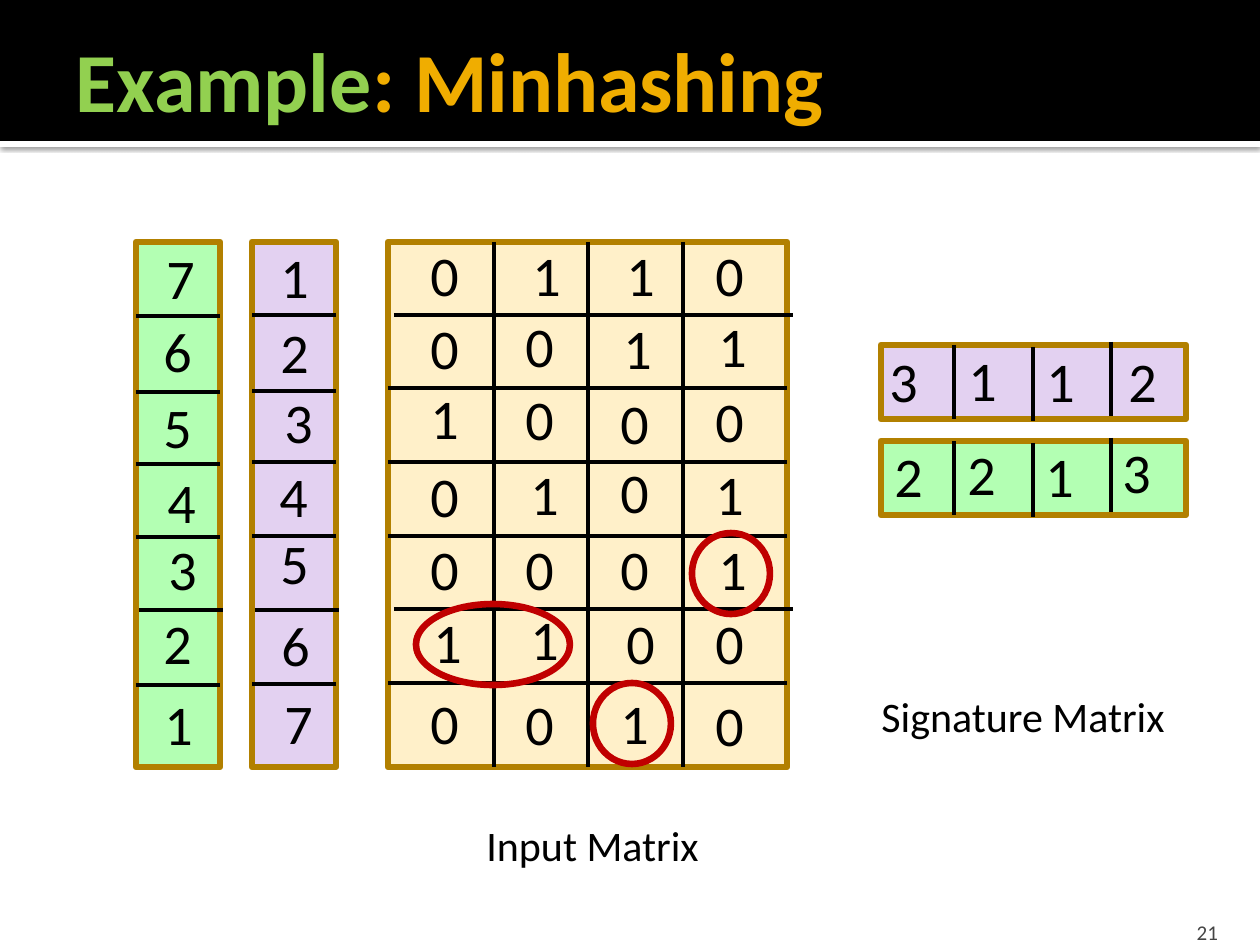
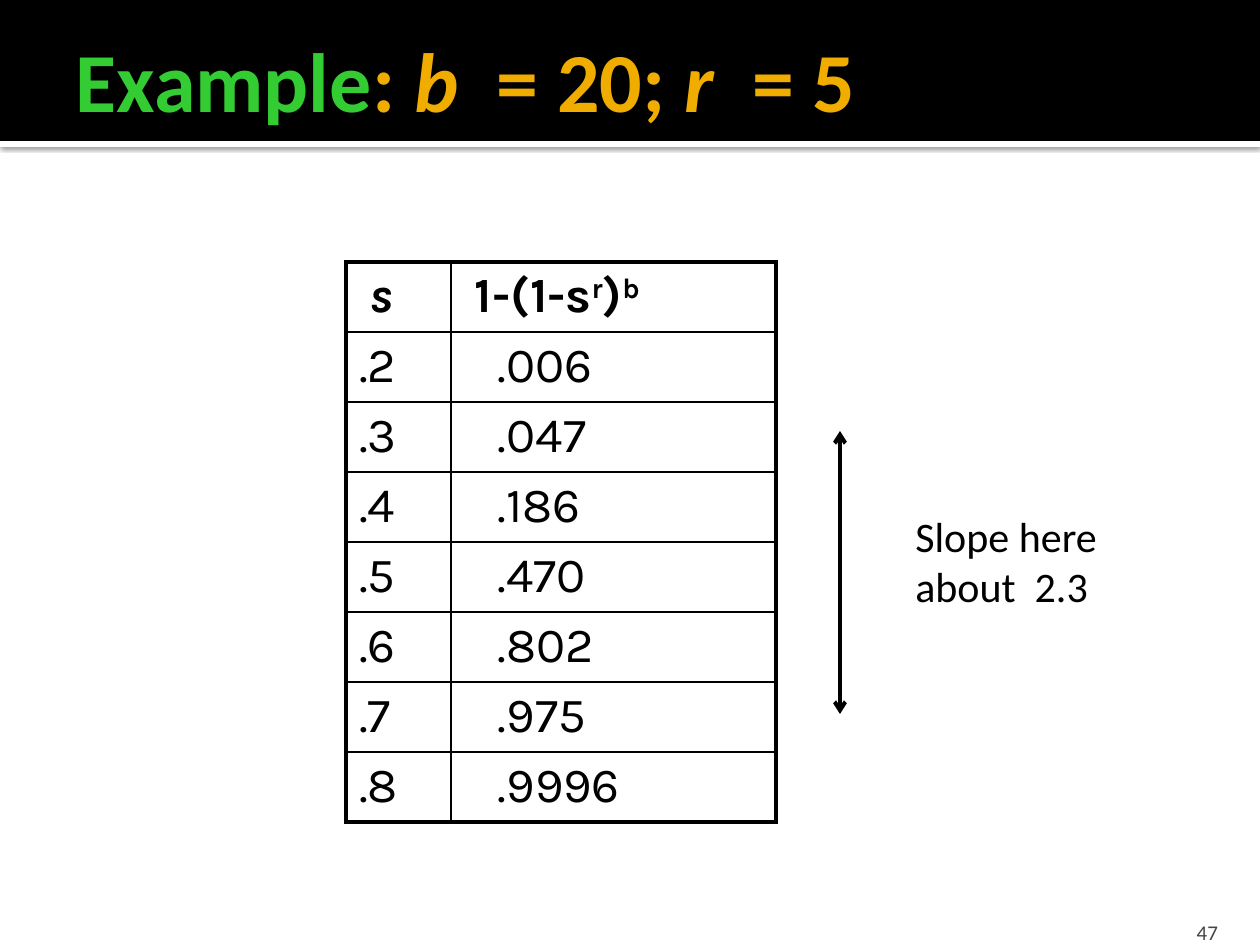
"""Builds two slides: a minhashing example and an S-curve table."""
import pptx
import pptx.dml.color
import pptx.enum.shapes
import pptx.enum.text
import pptx.oxml
import pptx.oxml.ns
import pptx.util

PX = 914400 / 126
FONT, TABLE_FONT = "Calibri", "Karla"
BLACK, WHITE, GOLD, GREY = "000000", "FFFFFF", "F0AD00", "454545"
GREEN, PURPLE, CREAM = "B3FFB3", "E3D1F1", "FFF0C9"
BROWN, RED = "B28000", "C00000"
ALIGN = pptx.enum.text.PP_ALIGN
ANCHOR = pptx.enum.text.MSO_ANCHOR
FIT = pptx.enum.text.MSO_AUTO_SIZE
SHAPE = pptx.enum.shapes.MSO_SHAPE

MINHASH_TITLE = [("Example", {"color": "92D050"}), (": Minhashing", {})]
SLOPE_TITLE = [
    ("Example", {"color": "33CC33"}),
    (": ", {}),
    ("b", {"italic": True}),
    ("  = 20; ", {}),
    ("r", {"italic": True}),
    ("  = 5", {}),
]

# Rules are (position, shift along the rule); nudges are (row, column): (dx, dy).
PANELS = [
    {
        "box": (388, 242, 399, 525),
        "fill": CREAM,
        "rows": ["0110", "0011", "1000", "0101", "0001", "1100", "0010"],
        "lefts": [418 + 95 * col for col in range(4)],
        "tops": [234, 307, 380, 453, 528, 602, 682],
        "across": [(315, 6), (388, 0), (462, 0), (536, 0), (609, 6), (683, 0)],
        "down": [(494, 0), (588, 0), (683, 0)],
        "nudges": {
            (0, 1): (7, 0), (0, 2): (6, 0),
            (1, 1): (0, -2), (1, 2): (3, 0), (1, 3): (3, -2),
            (2, 0): (0, -3), (2, 1): (0, -2), (2, 2): (0, 2),
            (3, 0): (0, 2), (3, 1): (5, 0), (3, 2): (0, -2),
            (4, 3): (3, 0),
            (5, 0): (3, -1), (5, 1): (5, -4), (5, 2): (6, 0),
            (6, 1): (0, 1), (6, 3): (0, 2),
        },
    },
    {
        "box": (136, 242, 84, 525),
        "fill": GREEN,
        "rows": "7654321",
        "lefts": [151],
        "tops": [237, 310, 386, 461, 528, 602, 683],
        "across": [(316, 0), (392, 0), (464, 0), (537, 0), (610, 3), (685, 0)],
        "down": [],
        "nudges": {(0, 0): (3, 0), (3, 0): (4, 0), (4, 0): (5, 0), (6, 0): (1, 0)},
    },
    {
        "box": (252, 242, 84, 525),
        "fill": PURPLE,
        "rows": "1234567",
        "lefts": [268],
        "tops": [236, 311, 381, 455, 522, 604, 682],
        "across": [(315, 0), (391, 0), (462, 0), (536, 0), (610, 3), (684, 0)],
        "down": [],
        "nudges": {(2, 0): (4, 0), (3, 0): (-1, 0), (5, 0): (1, 0), (6, 0): (4, 0)},
    },
    {
        "box": (881, 441, 305, 74),
        "fill": GREEN,
        "rows": ["2213"],
        "lefts": [882, 955, 1033, 1110],
        "tops": [435],
        "across": [],
        "down": [(954, 0), (1033, 2), (1111, -3)],
        "nudges": {(0, 1): (0, -2), (0, 3): (0, -4)},
    },
    {
        "box": (881, 345, 305, 74),
        "fill": PURPLE,
        "rows": ["3112"],
        "lefts": [877, 956, 1034, 1116],
        "tops": [340],
        "across": [],
        "down": [(954, 0), (1033, 2), (1111, -3)],
        "nudges": {(0, 1): (0, -1)},
    },
]
DIGIT_WIDTHS = {"1": 50, "3": 52, "7": 49}
CAPTIONS = [("Input Matrix", (474, 813, 239, 63)), ("Signature Matrix", (869, 684, 319, 63))]
RINGS = [(416, 604, 154, 81), (593, 683, 78, 81), (692, 533, 78, 81)]

HEADER = [
    [("s", {"italic": True})],
    [("1-(1-s", {}), ("r", {"base": 30}), (")", {}), ("b", {"base": 30})],
]
CURVE = [
    (".2", ".006"), (".3", ".047"), (".4", ".186"), (".5", ".470"),
    (".6", ".802"), (".7", ".975"), (".8", ".9996"),
]


def px(n):
    return round(n * PX)


def rgb(code):
    return pptx.dml.color.RGBColor.from_string(code)


def add_run(p, text, size=32, color=BLACK, bold=False, italic=False, base=0, font=FONT):
    r = p.add_run()
    r.text = text
    r.font.name, r.font.size = font, pptx.util.Pt(size)
    r.font.bold, r.font.italic = bold, italic
    r.font.color.rgb = rgb(color)
    if base:
        r.font._element.set("baseline", str(base * 1000))


def set_margins(target, left, top, right, bottom):
    target.margin_left, target.margin_top = px(left), px(top)
    target.margin_right, target.margin_bottom = px(right), px(bottom)


def add_text(s, lines, box, **style):
    tf = s.shapes.add_textbox(*map(px, box)).text_frame
    tf.word_wrap = False
    tf.auto_size = FIT.SHAPE_TO_FIT_TEXT
    for i, line in enumerate(lines):
        p = tf.paragraphs[0] if i == 0 else tf.add_paragraph()
        add_run(p, line, **style)
    return tf


def add_box(s, kind, box, fill=None, line=None):
    sp = s.shapes.add_shape(kind, *map(px, box))
    sp.shadow.inherit = False
    if fill:
        sp.fill.solid()
        sp.fill.fore_color.rgb = rgb(fill)
    else:
        sp.fill.background()
    if line:
        sp.line.color.rgb = rgb(line)
        sp.line.width = pptx.util.Pt(3.78)
    else:
        sp.line.fill.background()
    return sp


def xml(text):
    return pptx.oxml.parse_xml(text.replace(">", f" {pptx.oxml.ns.nsdecls('a')}>", 1))


def add_line(s, x1, y1, x2, y2, arrow=False):
    line = s.shapes.add_connector(
        pptx.enum.shapes.MSO_CONNECTOR.STRAIGHT, *map(px, (x1, y1, x2, y2)))
    line.line.color.rgb = rgb(BLACK)
    line.line.width = pptx.util.Pt(2.25)
    if arrow:
        line.line._get_or_add_ln().append(xml('<a:tailEnd type="arrow"></a:tailEnd>'))
    line._element.spPr.append(xml("<a:effectLst></a:effectLst>"))


def add_slide(prs, title, number):
    s = prs.slides.add_slide(prs.slide_layouts[5])
    strip = add_box(s, SHAPE.RECTANGLE, (0, 141, 1260, 6), WHITE)
    shadow = xml(
        '<a:outerShdw blurRad="31750" dist="10160" dir="5400000" algn="tl" rotWithShape="0">'
        '<a:srgbClr val="000000"><a:alpha val="60000"/></a:srgbClr></a:outerShdw>')
    strip._element.spPr.find(pptx.oxml.ns.qn("a:effectLst")).append(shadow)
    add_box(s, SHAPE.RECTANGLE, (0, 0, 1260, 141), BLACK)

    sp = s.shapes.title
    s.shapes._spTree.append(sp._element)
    sp.left, sp.top, sp.width, sp.height = map(px, (63, 21, 1197, 116))
    tf = sp.text_frame
    tf.auto_size, tf.word_wrap = FIT.NONE, True
    tf.vertical_anchor = ANCHOR.MIDDLE
    set_margins(tf, 13, 6, 6, 6)
    p = tf.paragraphs[0]
    p.alignment = ALIGN.LEFT
    for text, style in title:
        add_run(p, text, **{"size": 48, "color": GOLD, "bold": True, **style})

    tf = add_text(s, [number], (1130, 907, 101, 38), size=12, color=GREY)
    tf.auto_size, tf.word_wrap = FIT.NONE, True
    tf.vertical_anchor = ANCHOR.BOTTOM
    set_margins(tf, 13, 6, 13, 0)
    tf.paragraphs[0].alignment = ALIGN.RIGHT
    return s


def add_panel(s, panel):
    x, y, w, h = panel["box"]
    add_box(s, SHAPE.RECTANGLE, panel["box"], panel["fill"], BROWN)
    for at, shift in panel["across"]:
        add_line(s, x + shift, at, x + w + shift, at)
    for at, shift in panel["down"]:
        add_line(s, at, y + shift, at, y + h + shift)
    for i, (row, top) in enumerate(zip(panel["rows"], panel["tops"])):
        for j, (digit, left) in enumerate(zip(row, panel["lefts"])):
            dx, dy = panel["nudges"].get((i, j), (0, 0))
            add_text(s, [digit], (left + dx, top + dy, DIGIT_WIDTHS.get(digit, 54), 81))


def set_borders(cell, outer):
    tcPr = cell._tc.get_or_add_tcPr()
    for i, side in enumerate("LRTB"):
        width = 28575 if side in outer else 12700
        tcPr.insert(i, xml(
            f'<a:ln{side} w="{width}"><a:solidFill><a:srgbClr val="{BLACK}"/>'
            f"</a:solidFill></a:ln{side}>"))


def add_curve_table(s):
    rows = [HEADER] + [[[(text, {})] for text in row] for row in CURVE]
    widths, height = (105, 325), 70
    table = s.shapes.add_table(
        len(rows), 2, px(346), px(262), px(sum(widths)), px(height * len(rows))).table
    table.first_row = table.horz_banding = False
    for column, width in zip(table.columns, widths):
        column.width = px(width)
    for i, row in enumerate(rows):
        table.rows[i].height = px(height)
        for j, runs in enumerate(row):
            cell = table.cell(i, j)
            cell.fill.background()
            indent = 24 if i == 0 else (13, 47)[j]
            set_margins(cell, indent, 6, 13, 6)
            for text, style in runs:
                add_run(cell.text_frame.paragraphs[0], text, size=28, font=TABLE_FONT,
                        bold=i == 0, **style)
            vertical = {0: "T", len(rows) - 1: "B"}.get(i, "")
            set_borders(cell, "LR"[j] + vertical)


def main():
    prs = pptx.Presentation()
    prs.slide_width, prs.slide_height = px(1260), px(945)

    s = add_slide(prs, MINHASH_TITLE, "21")
    for panel in PANELS:
        add_panel(s, panel)
    for text, box in CAPTIONS:
        add_text(s, [text], box, size=24)
    for box in RINGS:
        add_box(s, SHAPE.OVAL, box, line=RED)

    s = add_slide(prs, SLOPE_TITLE, "47")
    add_curve_table(s)
    for tip in (431, 714):
        add_line(s, 840, 577, 840, tip, arrow=True)
    add_text(s, ["Slope here", "about  2.3"], (903, 504, 213, 115), size=24)

    prs.save("out.pptx")


if __name__ == "__main__":
    main()
